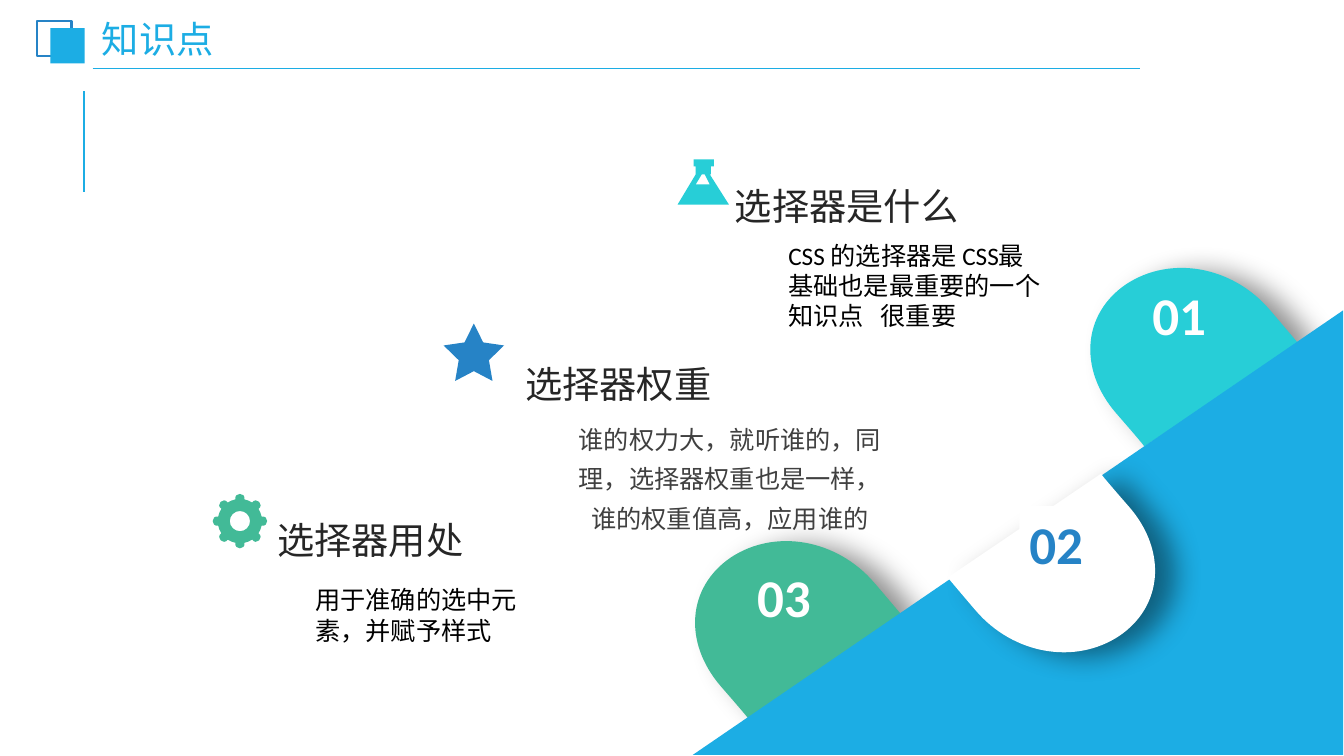
"""Build the CSS selector overview slide with three numbered drops on a slope."""
import math

from pptx import Presentation
from pptx import util as u
from pptx.dml.color import RGBColor
from pptx.enum import shapes, text
from pptx.oxml import parse_xml
from pptx.oxml.ns import nsdecls, qn

COLOURS = {"sky": "1CADE4", "blue": "2683C6", "teal": "27CED7", "green": "42BA97",
           "white": "FFFFFF", "heading": "262626", "grey": "404040", "black": "000000"}
FONT = "Calibri"
TITLE = "知识点"

HEADINGS = [
    ("选择器是什么", (7.19, 1.68, 3.29, 0.6)),
    ("选择器权重", (5.11, 3.45, 3.4, 0.6)),
    ("选择器用处", (2.65, 4.99, 3.55, 0.6)),
]
BODIES = [
    (("CSS 的选择器是 CSS最基础也是最重要的一个知识点", " ", "很重要"),
     (7.72, 2.33, 2.75, 1.01), "black", text.PP_ALIGN.LEFT, 1.0, (0.1, 0.05)),
    (("谁的权力大，就听谁的，同理，选择器权重也是一样，谁的权重值高，应用谁的",),
     (5.54, 4.08, 3.4, 1.24), "grey", text.PP_ALIGN.CENTER, 1.3, (0.09, 0.04)),
    (("用于准确的选中元素，并赋予样式",),
     (3.03, 5.75, 2.27, 0.71), "black", text.PP_ALIGN.LEFT, 1.0, (0.1, 0.05)),
]
WIDE_SPACE = 8
NUMBERS = [("01", (11.33, 2.75), "white", None),
           ("02", (10.11, 5.02), "blue", "white"),
           ("03", (7.41, 5.55), "white", None)]

DROP = [
    (12.87, 3.4),
    (12.87, 3.4), (12.6, 3.08), (12.59, 3.07),
    (12.22, 2.64), (11.61, 2.53), (11.17, 2.82),
    (10.74, 3.11), (10.69, 3.66), (11.07, 4.1),
    (11.07, 4.1), (11.35, 4.42), (11.35, 4.43),
]
UPPER_DROPS = [("teal", 1, 0, 0), ("green", 1, -3.92, 2.71)]
LOWER_DROP = ("white", -1, 22.27, 9.13)
SLOPE = [(6.87, 7.49), (13.32, 7.49), (13.32, 3.08)]
FLASK = [
    [(6.72, 2.03), (7.23, 2.03), (7.04, 1.73), (7.05, 1.73), (7.05, 1.65), (7.08, 1.65),
     (7.08, 1.58), (6.88, 1.58), (6.88, 1.65), (6.9, 1.65), (6.9, 1.73)],
    [(6.96, 1.73), (6.99, 1.73), (7.04, 1.83), (6.9, 1.83)],
]
GEAR = {"centre": (2.38, 5.17), "body": 0.22, "teeth": 8, "orbit": 0.225,
        "tooth": 0.045, "hole": 0.1}


def colour(name):
    return RGBColor.from_string(COLOURS[name])


def paint(shape, fill=None, line=None):
    shape.shadow.inherit = False
    if fill:
        shape.fill.solid()
        shape.fill.fore_color.rgb = colour(fill)
    else:
        shape.fill.background()
    if line:
        shape.line.color.rgb = colour(line)
        shape.line.width = u.Pt(1.5)
    else:
        shape.line.fill.background()


def bend(shape):
    """Turn every three line segments into one cubic curve."""
    lines = list(shape.element.iter(qn("a:lnTo")))
    for trio in zip(lines[::3], lines[1::3], lines[2::3]):
        curve = parse_xml(f'<a:cubicBezTo {nsdecls("a")}/>')
        trio[0].addprevious(curve)
        for line in trio:
            curve.append(line[0])
            line.getparent().remove(line)


def add_outline(slide, contours, fill, curved=False):
    contours = [[(u.Inches(x), u.Inches(y)) for x, y in contour] for contour in contours]
    builder = slide.shapes.build_freeform(*contours[0][0], scale=1.0)
    for index, contour in enumerate(contours):
        if index:
            builder.move_to(*contour[0])
        builder.add_line_segments(contour[1:], close=True)
    shape = builder.convert_to_shape()
    paint(shape, fill)
    if curved:
        bend(shape)
    return shape


def add_drop(slide, fill, sign, dx, dy):
    points = [(sign * x + dx, sign * y + dy) for x, y in DROP]
    drop = add_outline(slide, [points], fill, curved=True)
    effects = drop.element.spPr.find(qn("a:effectLst"))
    effects.append(parse_xml(
        f'<a:outerShdw {nsdecls("a")} blurRad="{u.Pt(20)}" dist="{u.Pt(15)}" '
        f'dir="{12 * 60000}" algn="ctr" rotWithShape="0"><a:srgbClr val="{COLOURS["black"]}">'
        '<a:alpha val="43000"/></a:srgbClr></a:outerShdw>'))


def arc(centre, radius, start, end):
    """Return start, two handles and end of a circular arc."""
    handle = 4 / 3 * math.tan((end - start) / 4)
    offsets = [(math.cos(angle) - pull * math.sin(angle),
                math.sin(angle) + pull * math.cos(angle))
               for angle, pull in ((start, 0), (start, handle), (end, -handle), (end, 0))]
    return [(centre[0] + radius * x, centre[1] + radius * y) for x, y in offsets]


def gear_contours():
    centre, body, orbit, tooth = (GEAR[key] for key in ("centre", "body", "orbit", "tooth"))
    pitch = 2 * math.pi / GEAR["teeth"]
    half = math.acos((body ** 2 + orbit ** 2 - tooth ** 2) / (2 * body * orbit))
    swing = math.atan2(body * math.sin(half), body * math.cos(half) - orbit)
    rim, hole = [], []
    for index in range(GEAR["teeth"]):
        angle = index * pitch
        hub = (centre[0] + orbit * math.cos(angle), centre[1] + orbit * math.sin(angle))
        bump = arc(hub, tooth, angle - swing, angle + swing)
        rim += bump[1:] if rim else bump
        rim += arc(centre, body, angle + half, angle + pitch - half)[1:]
    for quarter in range(4):
        piece = arc(centre, GEAR["hole"], quarter * math.pi / 2, (quarter + 1) * math.pi / 2)
        hole += piece[1:] if hole else piece
    return [rim, hole]


def add_line(slide, start, end, width):
    line = slide.shapes.add_connector(shapes.MSO_CONNECTOR.STRAIGHT,
                                      *map(u.Inches, start + end))
    line.line.color.rgb = colour("sky")
    line.line.width = u.Pt(width)
    line.element.spPr.append(parse_xml(f'<a:effectLst {nsdecls("a")}/>'))


def write(shape, pieces, size, ink, align=text.PP_ALIGN.LEFT, spacing=1.0,
          margins=(0.1, 0.05), bold=False):
    frame = shape.text_frame
    frame.word_wrap = True
    frame.margin_left = frame.margin_right = u.Inches(margins[0])
    frame.margin_top = frame.margin_bottom = u.Inches(margins[1])
    paragraph = frame.paragraphs[0]
    paragraph.alignment = align
    paragraph.line_spacing = spacing
    for piece in pieces:
        run = paragraph.add_run()
        run.text = piece
        run.font.name, run.font.size, run.font.bold = FONT, u.Pt(size), bold
        run.font.color.rgb = colour(ink)
        if piece == " ":
            run.font.element.set("spc", str(WIDE_SPACE * 100)) if hasattr(
                run.font, "element") else run._r.get_or_add_rPr().set(
                "spc", str(WIDE_SPACE * 100))
    return frame


def add_text(slide, pieces, box, *style, **options):
    shape = slide.shapes.add_textbox(*map(u.Inches, box))
    write(shape, pieces, *style, **options)
    return shape


def add_header(slide):
    add_line(slide, (0.83, 1.9), (0.83, 0.9), 1.5)
    add_line(slide, (0.92, 0.68), (11.31, 0.68), 1.25)
    for left, top, fill, line in ((0.37, 0.21, None, "blue"), (0.5, 0.28, "sky", None)):
        square = slide.shapes.add_shape(shapes.MSO_SHAPE.RECTANGLE,
                                        *map(u.Inches, (left, top, 0.34, 0.35)))
        paint(square, fill, line)
    title = slide.shapes.title
    title.left, title.top, title.width, title.height = map(u.Inches, (0.94, 0.23, 3.93, 0.37))
    frame = write(title, [TITLE], 26.6, "sky", spacing=0.9, margins=(0.07, 0.04))
    frame.auto_size = text.MSO_AUTO_SIZE.NONE
    frame.vertical_anchor = text.MSO_ANCHOR.MIDDLE


def main():
    presentation = Presentation()
    presentation.slide_width, presentation.slide_height = u.Inches(13.33), u.Inches(7.5)
    slide = presentation.slides.add_slide(presentation.slide_layouts[5])
    add_header(slide)

    for drop in UPPER_DROPS:
        add_drop(slide, *drop)
    add_outline(slide, [SLOPE], "sky")
    add_drop(slide, *LOWER_DROP)

    add_outline(slide, FLASK, "teal")
    star = slide.shapes.add_shape(shapes.MSO_SHAPE.STAR_5_POINT,
                                  *map(u.Inches, (4.4, 3.21, 0.6, 0.57)))
    star.adjustments[0] = 0.25
    paint(star, "blue")
    add_outline(slide, gear_contours(), "green", curved=True)

    for words, box in HEADINGS:
        add_text(slide, [words], box, 26.6, "heading", text.PP_ALIGN.JUSTIFY, 1.2)
    for words, corner, ink, fill in NUMBERS:
        number = add_text(slide, [words], corner + (0.89, 0.74), 37.9, ink, bold=True)
        if fill:
            number.fill.solid()
            number.fill.fore_color.rgb = colour(fill)
    for pieces, box, ink, align, spacing, margins in BODIES:
        add_text(slide, pieces, box, 18, ink, align, spacing, margins)
    presentation.save("out.pptx")


if __name__ == "__main__":
    main()
